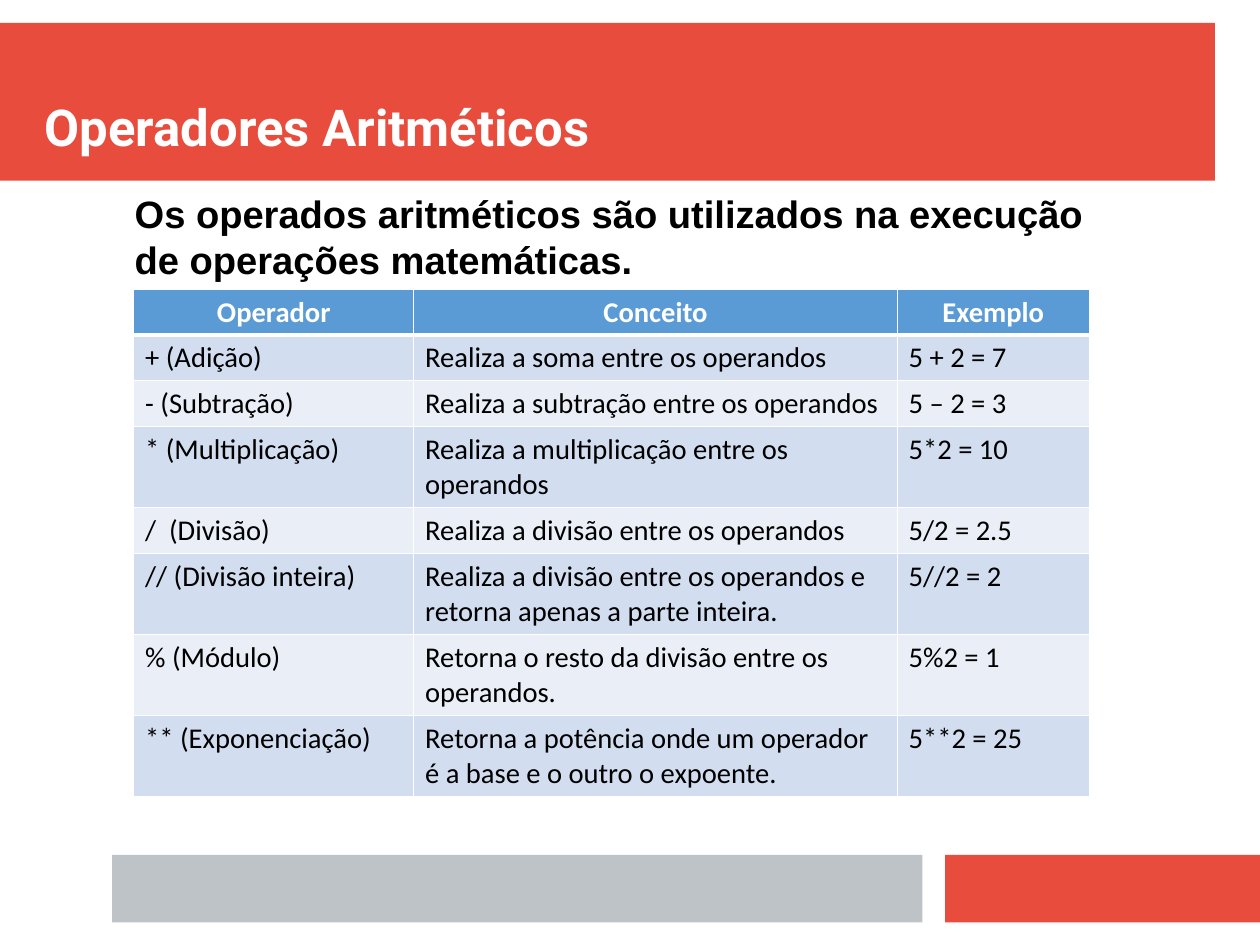
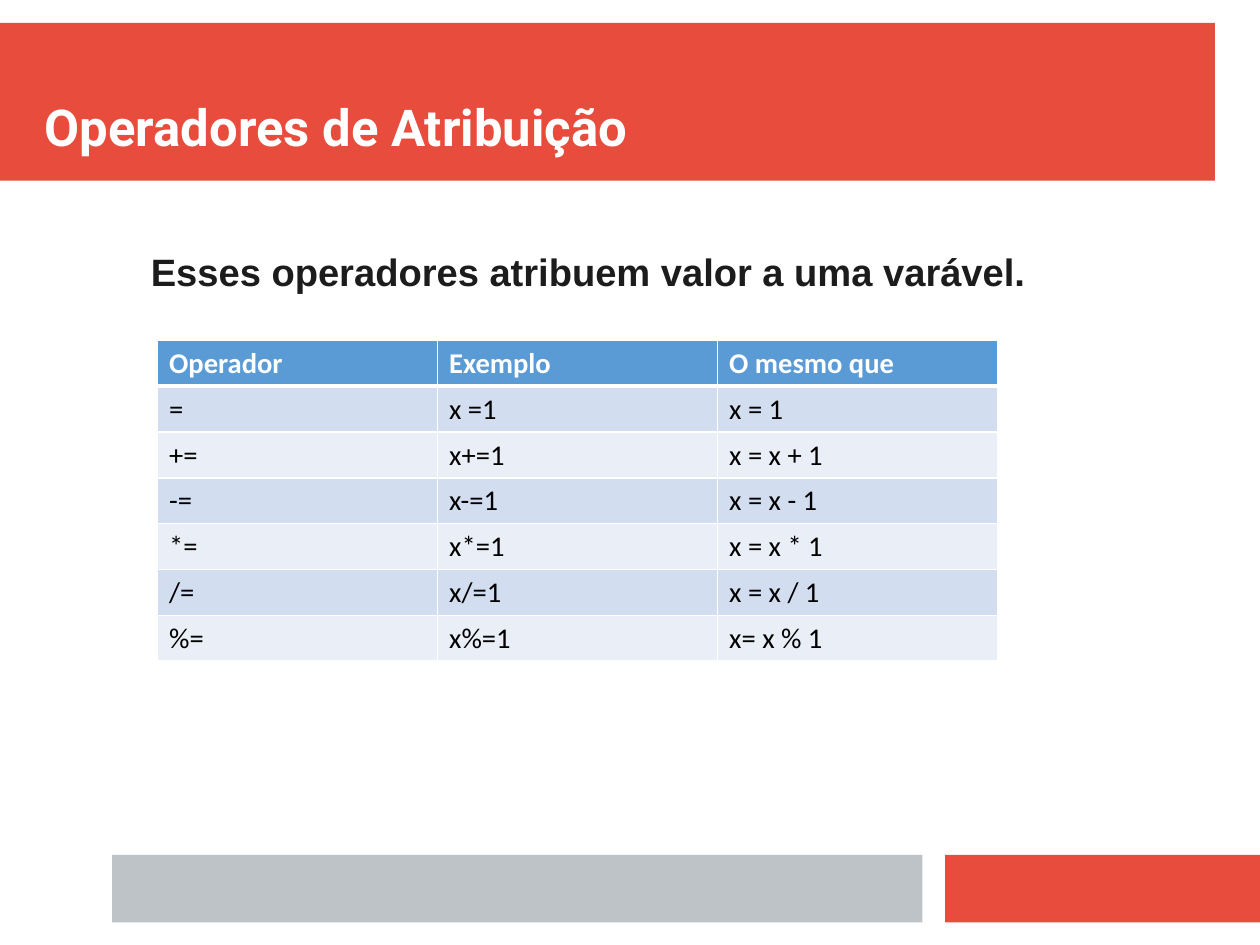
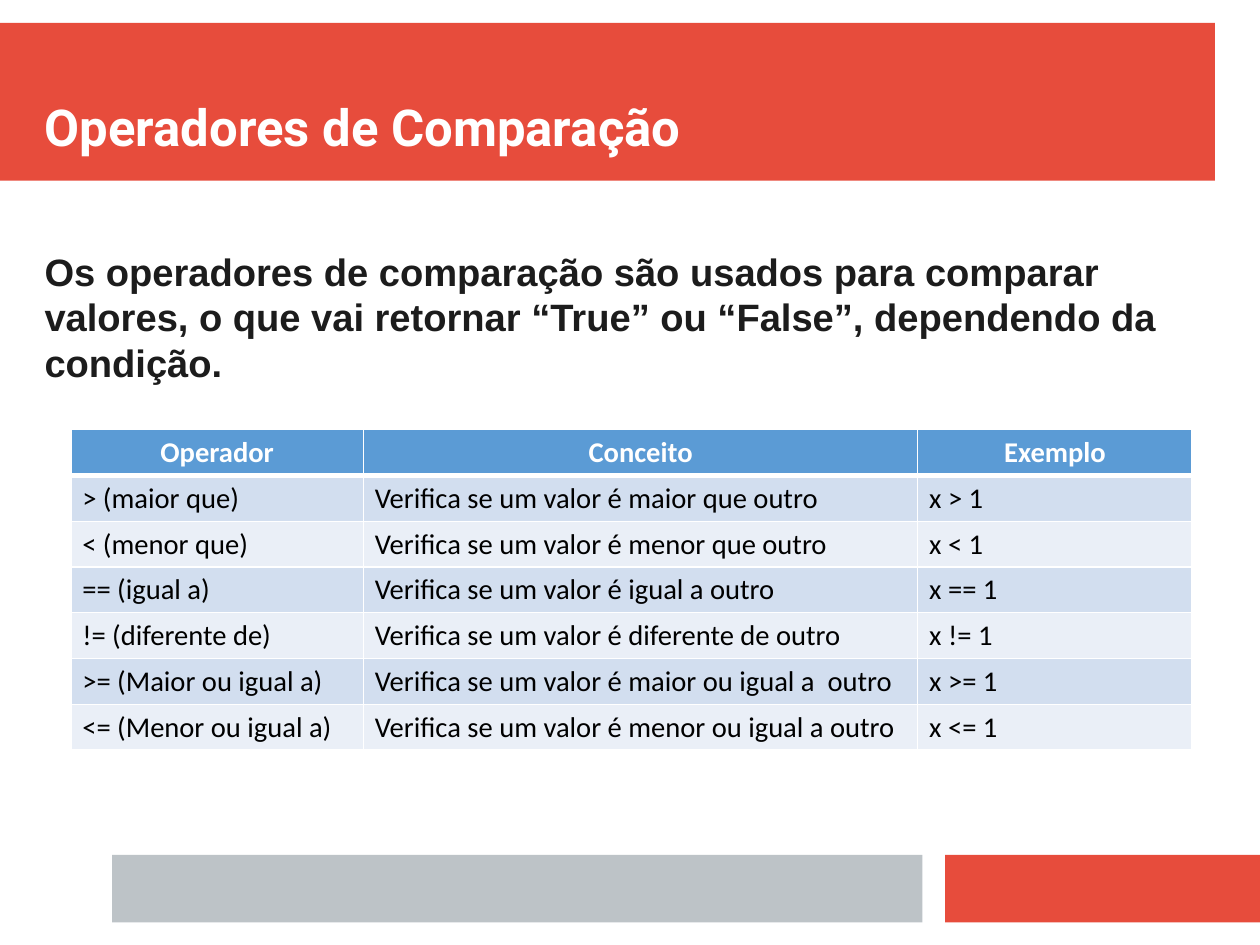
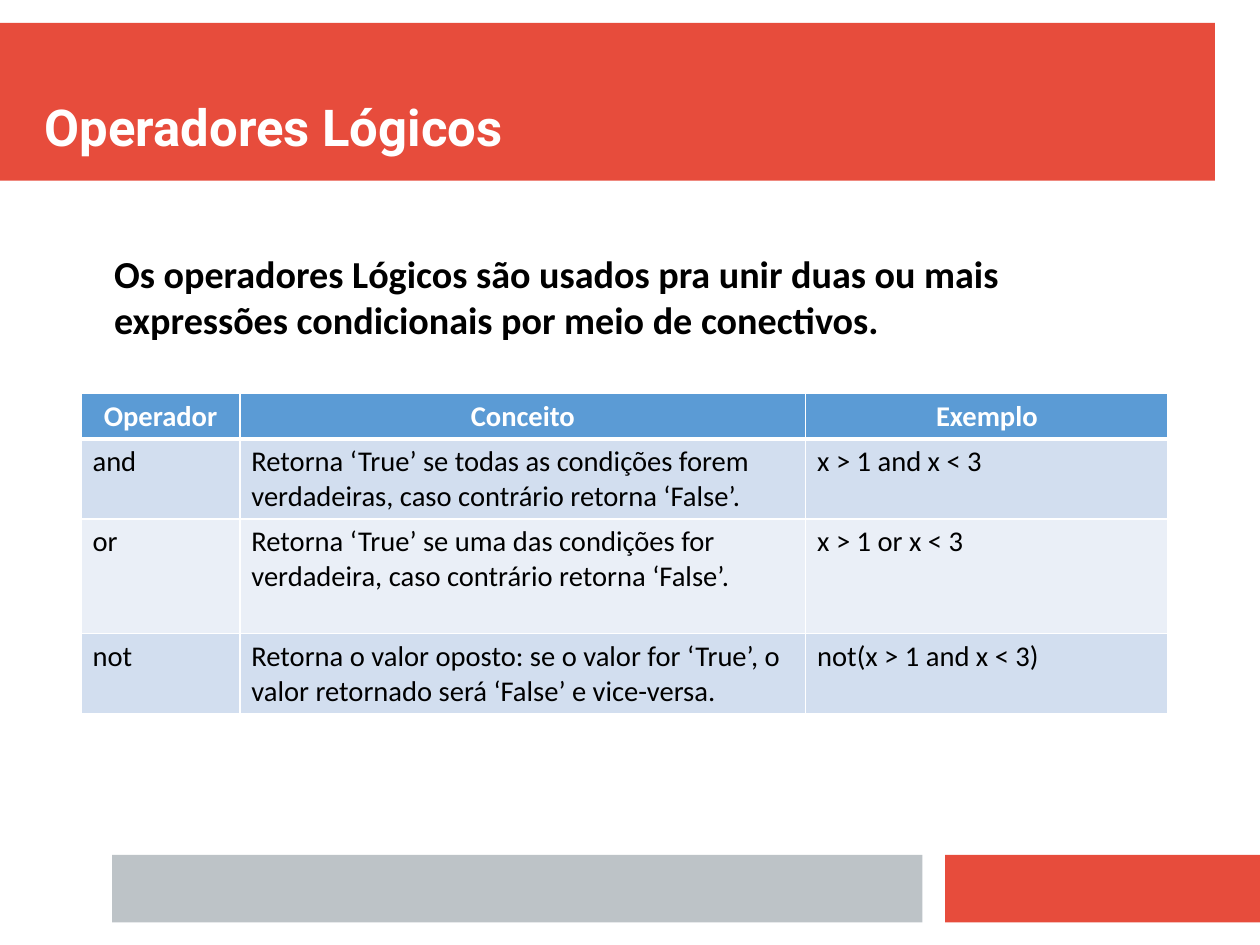
from lxml.etree import SubElement
from pptx import Presentation
from pptx.dml.color import RGBColor
from pptx.enum.shapes import MSO_SHAPE
from pptx.enum.text import MSO_ANCHOR, MSO_AUTO_SIZE, PP_ALIGN
from pptx.oxml.ns import qn
from pptx.util import Inches, Pt

COLORS = {
    "red": "E74C3C",
    "gray": "BDC3C7",
    "white": "FFFFFF",
    "black": "000000",
    "ink": "1C1C1C",
    "header": "5B9BD5",
    "odd": "D2DEEF",
    "even": "EAEFF7",
}
BANDS = [
    (0, 0.2, 10.63, 1.38, "red"),
    (8.27, 7.48, 2.76, 0.59, "red"),
    (0.98, 7.48, 7.09, 0.59, "gray"),
]
CM_PER_INCH = 2.54
ROW_HEIGHT = 0.4
TWO_LINES = 0.71

PAGES = [
    {
        "title": "Operadores Aritméticos",
        "intro": "Os operados aritméticos são utilizados na execução de operações matemáticas.",
        "intro_at": (1.08, 1.62, 8.6, 0.91),
        "intro_style": ("Arial", "black"),
        "table_at": (1.17, 2.53),
        "columns": (2.45, 4.23, 1.68),
        "tall_rows": {3: TWO_LINES, 5: TWO_LINES, 6: TWO_LINES, 7: TWO_LINES},
        "rows": [
            ("Operador", "Conceito", "Exemplo"),
            ("+ (Adição)", "Realiza a soma entre os operandos", "5 + 2 = 7"),
            ("- (Subtração)", "Realiza a subtração entre os operandos", "5 – 2 = 3"),
            ("* (Multiplicação)", "Realiza a multiplicação entre os operandos", "5*2 = 10"),
            ("/  (Divisão)", "Realiza a divisão entre os operandos", "5/2 = 2.5"),
            ("// (Divisão inteira)", "Realiza a divisão entre os operandos e retorna apenas a parte inteira.", "5//2 = 2"),
            ("% (Módulo)", "Retorna o resto da divisão entre os operandos.", "5%2 = 1"),
            ("** (Exponenciação)", "Retorna a potência onde um operador é a base e o outro o expoente.", "5**2 = 25"),
        ],
    },
    {
        "title": "Operadores de Atribuição",
        "intro": "Esses operadores atribuem valor a uma varável.",
        "intro_at": (0.39, 2.17, 10.04, 5.12),
        "intro_style": ("Arial", "ink"),
        "intro_margin": 0,
        "intro_indent": 0.93,
        "table_at": (1.38, 2.98),
        "columns": (2.45, 2.45, 2.45),
        "header_align": PP_ALIGN.LEFT,
        "rows": [
            ("Operador", "Exemplo", "O mesmo que"),
            ("=", "x =1", "x = 1"),
            ("+=", "x+=1", "x = x + 1"),
            ("-=", "x-=1", "x = x - 1"),
            ("*=", "x*=1", "x = x * 1"),
            ("/=", "x/=1", "x = x / 1"),
            ("%=", "x%=1", "x= x % 1"),
        ],
    },
    {
        "title": "Operadores de Comparação",
        "intro": "Os operadores de comparação são usados para comparar valores, o que vai retornar “True” ou “False”, dependendo da condição.",
        "intro_at": (0.39, 2.17, 10.04, 5.12),
        "intro_style": ("Arial", "ink"),
        "intro_margin": 0,
        "table_at": (0.62, 3.76),
        "columns": (2.56, 4.85, 2.4),
        "rows": [
            ("Operador", "Conceito", "Exemplo"),
            ("> (maior que)", "Verifica se um valor é maior que outro", "x > 1"),
            ("< (menor que)", "Verifica se um valor é menor que outro", "x < 1"),
            ("== (igual a)", "Verifica se um valor é igual a outro", "x == 1"),
            ("!= (diferente de)", "Verifica se um valor é diferente de outro", "x != 1"),
            (">= (Maior ou igual a)", "Verifica se um valor é maior ou igual a  outro", "x >= 1"),
            ("<= (Menor ou igual a)", "Verifica se um valor é menor ou igual a outro", "x <= 1"),
        ],
    },
    {
        "title": "Operadores Lógicos",
        "intro": "Os operadores Lógicos são usados pra unir duas ou mais expressões condicionais por meio de conectivos.",
        "intro_at": (0.9, 2.14, 8.95, 0.91),
        "intro_style": ("Calibri", "black"),
        "table_at": (0.71, 3.44),
        "columns": (1.39, 4.95, 3.17),
        "tall_rows": {1: 0.7, 2: 1, 3: 0.7},
        "rows": [
            ("Operador", "Conceito", "Exemplo"),
            ("and", "Retorna ‘True’ se todas as condições forem verdadeiras, caso contrário retorna ‘False’.", "x > 1 and x < 3"),
            ("or", "Retorna ‘True’ se uma das condições for verdadeira, caso contrário retorna ‘False’.", "x > 1 or x < 3"),
            ("not", "Retorna o valor oposto: se o valor for ‘True’, o valor retornado será ‘False’ e vice-versa.", "not(x > 1 and x < 3)"),
        ],
    },
]


def write(frame, text, font, size, color, bold=True, align=PP_ALIGN.LEFT):
    para = frame.paragraphs[0]
    para.alignment = align
    span = para.add_run()
    span.text = text
    span.font.name = font
    span.font.size = Pt(size)
    span.font.bold = bold
    span.font.color.rgb = RGBColor.from_string(COLORS[color])
    return para


def style_cell(cell, fill, top, bottom):
    properties = cell._tc.get_or_add_tcPr()
    for side, width in (("L", 1), ("R", 1), ("T", top), ("B", bottom)):
        line = SubElement(properties, qn(f"a:ln{side}"), w=str(Pt(width)))
        solid = SubElement(line, qn("a:solidFill"))
        SubElement(solid, qn("a:srgbClr"), val=COLORS["white"])
    cell.fill.solid()
    cell.fill.fore_color.rgb = RGBColor.from_string(COLORS[fill])


deck = Presentation()
deck.slide_width = Inches(28 / CM_PER_INCH)
deck.slide_height = Inches(21 / CM_PER_INCH)
layout = deck.slide_layouts[5]
slides = [deck.slides.add_slide(layout) for page in PAGES]

for index, (left, top, width, height, color) in enumerate(BANDS):
    band = slides[0].shapes.add_shape(
        MSO_SHAPE.RECTANGLE, Inches(left), Inches(top), Inches(width), Inches(height))
    band.shadow.inherit = False
    band.fill.solid()
    band.fill.fore_color.rgb = RGBColor.from_string(COLORS[color])
    band.line.fill.background()
    band.element.nvSpPr.cNvPr.set("id", str(101 + index))
    layout.shapes.element.insert(2 + index, band.element)

for slide, page in zip(slides, PAGES):
    title = slide.shapes.title
    title.left, title.top = Inches(0.39), Inches(0.39)
    title.width, title.height = Inches(10.24), Inches(0.98)
    frame = title.text_frame
    frame.margin_left = frame.margin_right = frame.margin_top = frame.margin_bottom = 0
    frame.vertical_anchor = MSO_ANCHOR.BOTTOM
    frame.auto_size = MSO_AUTO_SIZE.NONE
    write(frame, page["title"], "Roboto", 32, "white")

    box = slide.shapes.add_textbox(*[Inches(length) for length in page["intro_at"]])
    frame = box.text_frame
    frame.word_wrap = True
    if "intro_margin" in page:
        margin = Inches(page["intro_margin"])
        frame.margin_left = frame.margin_right = frame.margin_top = frame.margin_bottom = margin
    font, color = page["intro_style"]
    para = write(frame, page["intro"], font, 24, color)
    if "intro_indent" in page:
        para._p.get_or_add_pPr().set("marL", str(Inches(page["intro_indent"])))

    rows, columns = page["rows"], page["columns"]
    tall_rows = page.get("tall_rows", {})
    heights = [tall_rows.get(index, ROW_HEIGHT) for index in range(len(rows))]
    left, top = page["table_at"]
    table = slide.shapes.add_table(
        len(rows), len(columns), Inches(left), Inches(top),
        Inches(sum(columns)), Inches(sum(heights))).table
    for column, width in zip(table.columns, columns):
        column.width = Inches(width)
    for row_index, values in enumerate(rows):
        table.rows[row_index].height = Inches(heights[row_index])
        header = row_index == 0
        fill = "header" if header else ("even", "odd")[row_index % 2]
        color = "white" if header else "black"
        align = page.get("header_align", PP_ALIGN.CENTER) if header else PP_ALIGN.LEFT
        for column_index, value in enumerate(values):
            cell = table.cell(row_index, column_index)
            style_cell(cell, fill, 3 if row_index == 1 else 1, 3 if header else 1)
            write(cell.text_frame, value, "Calibri", 18, color, header, align)

deck.save("out.pptx")
